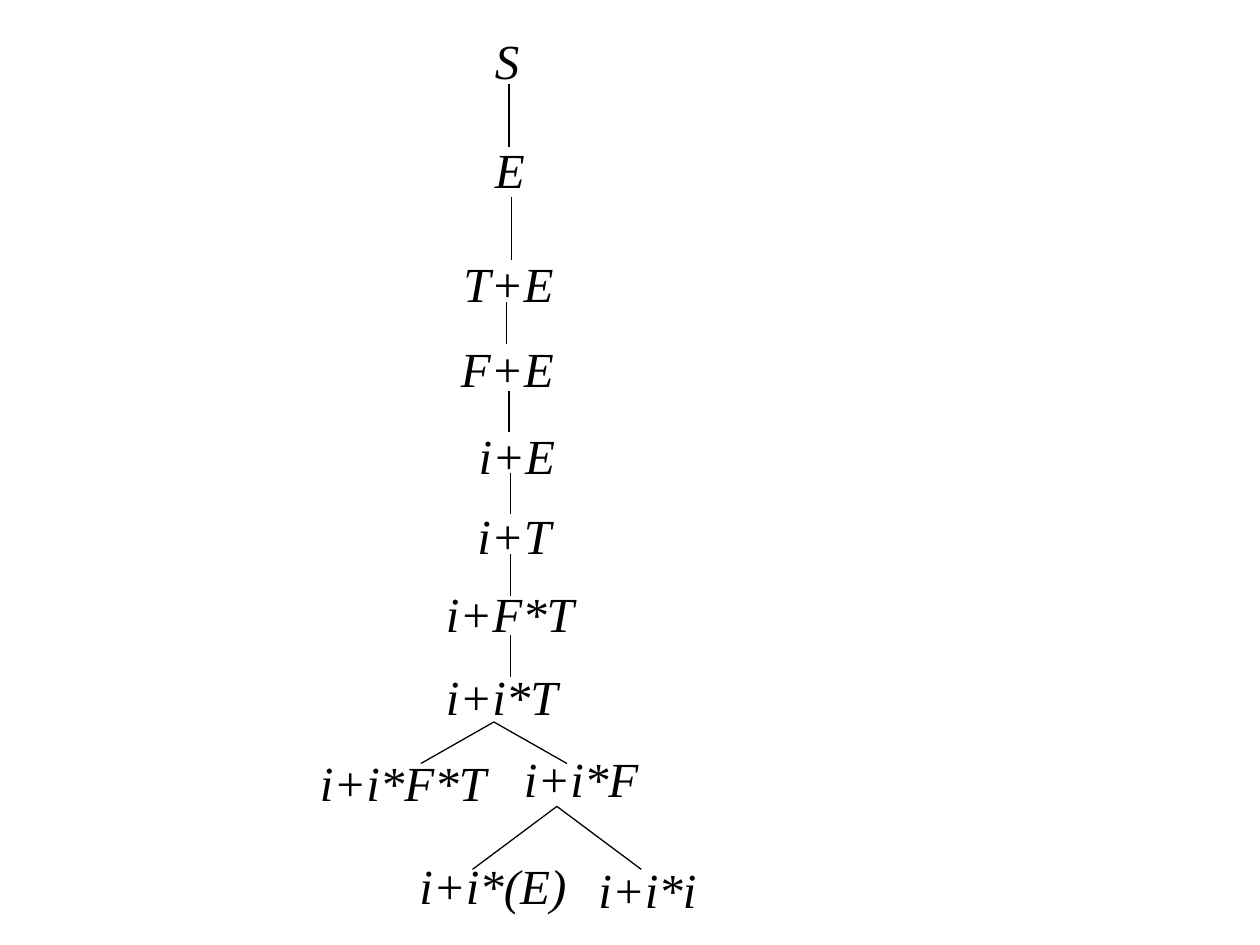
from dataclasses import dataclass
from lxml.etree import SubElement
from pptx import Presentation
from pptx.dml.color import RGBColor
from pptx.enum.shapes import MSO_CONNECTOR
from pptx.enum.text import MSO_ANCHOR, MSO_AUTO_SIZE, PP_ALIGN
from pptx.oxml.ns import qn
from pptx.util import Inches, Pt


@dataclass(frozen=True)
class Theme:
    ink: RGBColor = RGBColor(0, 0, 0)
    face: str = "Times New Roman"
    size: int = 28
    rule: float = 0.75
    cols: int = 100
    rows: int = 75


def assign(item, values):
    for name, value in values.items():
        setattr(item, name, value)


class Tree:
    def __init__(self, deck, theme):
        self.theme = theme
        self.slide = deck.slides.add_slide(deck.slide_layouts[6])
        self.unit = deck.slide_width / theme.cols, deck.slide_height / theme.rows
        self.frame = {
            "word_wrap": True,
            "auto_size": MSO_AUTO_SIZE.NONE,
            "vertical_anchor": MSO_ANCHOR.TOP,
            "margin_left": Inches(0.1),
            "margin_right": Inches(0.1),
            "margin_top": Inches(0.05),
            "margin_bottom": Inches(0.05),
        }
        self.font = {"name": theme.face, "size": Pt(theme.size), "italic": True}

    def place(self, col, row):
        return round(col * self.unit[0]), round(row * self.unit[1])

    def node(self, text, col, row, width):
        box = self.slide.shapes.add_textbox(
            *self.place(col, row), *self.place(width, 5.7)
        )
        assign(box.text_frame, self.frame)
        para = box.text_frame.paragraphs[0]
        para.alignment = PP_ALIGN.LEFT
        run = para.add_run()
        run.text = text
        assign(run.font, self.font)
        run.font.color.rgb = self.theme.ink

    def edge(self, start, end):
        line = self.slide.shapes.add_connector(
            MSO_CONNECTOR.STRAIGHT, *self.place(*start), *self.place(*end)
        )
        line.line.color.rgb = self.theme.ink
        line.line.width = Pt(self.theme.rule)
        SubElement(line._element.spPr, qn("a:effectLst"))

    def stem(self, col, row, drop):
        self.edge((col, row), (col, row + drop))

    def fork(self, col, row, reach, drop):
        for side in (-reach, reach):
            self.edge((col, row), (col + side, row + drop))


NODES = [
    ("S", 38.3, 1.9, 9.2),
    ("E", 38.3, 10.6, 9.2),
    ("T+E", 35.8, 19.6, 11),
    ("F+E", 35.6, 26.4, 11),
    ("i+E", 37, 33.3, 9.2),
    ("i+T", 36.9, 39.6, 9.2),
    ("i+F*T", 34.4, 45.8, 12.7),
    ("i+i*T", 34.4, 52.4, 12.7),
    ("i+i*F*T", 24.4, 59.2, 16.7),
    ("i+i*F", 40.6, 58.9, 12.7),
    ("i+i*(E)", 32.3, 67.4, 15),
    ("i+i*i", 46.5, 67.7, 15),
]
STEMS = [
    (40.4, 6.7, 5),
    (40.6, 15.6, 5),
    (40.2, 24, 3.3),
    (40.4, 31, 3.3),
    (40.5, 37.5, 3.3),
    (40.5, 44, 3.3),
    (40.5, 50.4, 3.3),
]
FORKS = [(39.2, 57.3, 5.8, 3.3), (44.2, 64, 6.7, 5)]


def main():
    deck = Presentation()
    assign(deck, {"slide_width": Inches(10), "slide_height": Inches(7.5)})
    tree = Tree(deck, Theme())
    for draw, items in (
        (tree.node, NODES),
        (tree.stem, STEMS),
        (tree.fork, FORKS),
    ):
        for item in items:
            draw(*item)
    deck.save("out.pptx")


if __name__ == "__main__":
    main()
